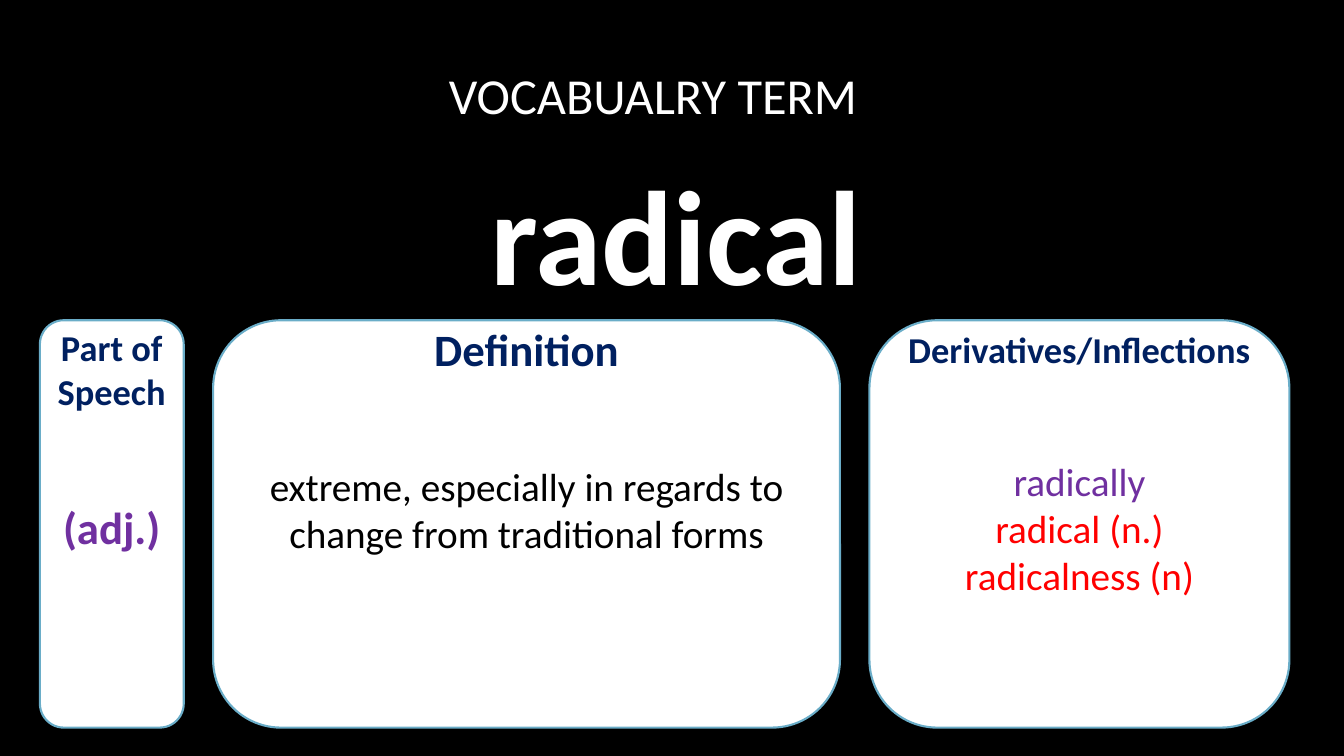
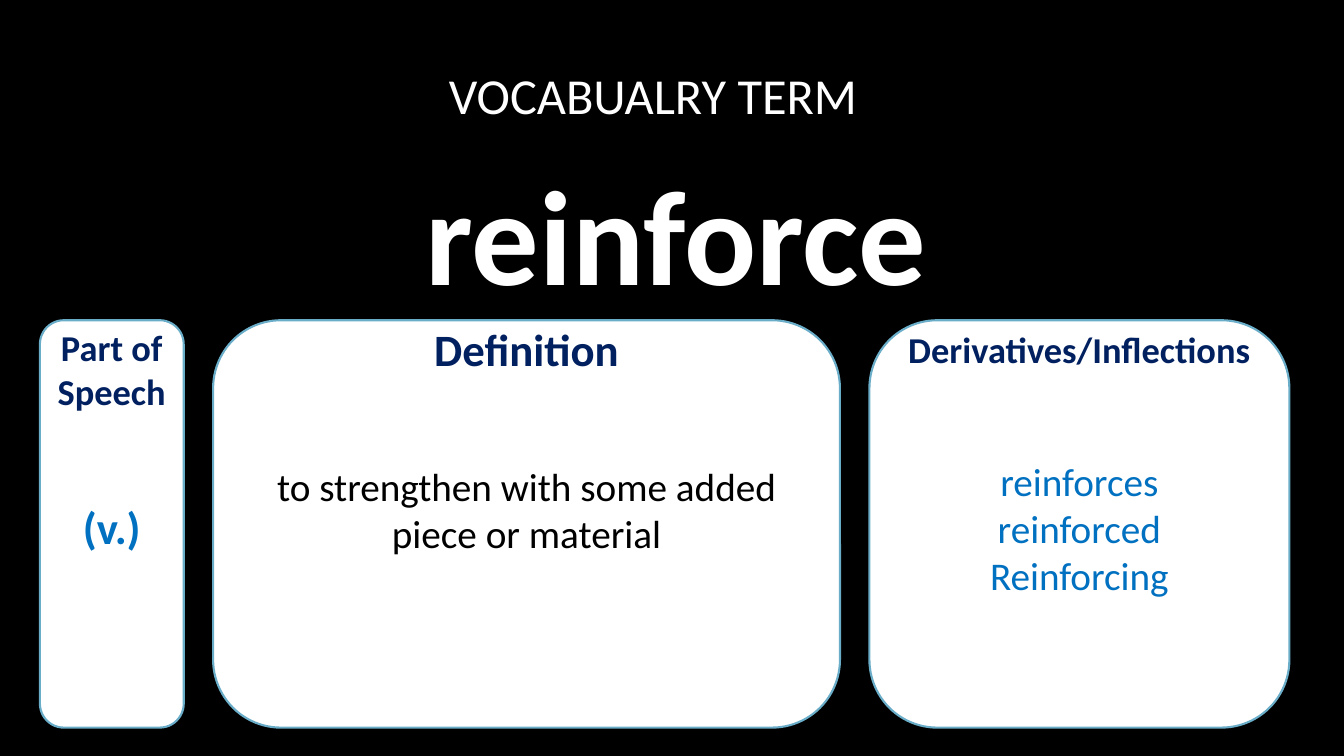
from lxml.etree import SubElement
from pptx import Presentation
from pptx.dml.color import RGBColor
from pptx.enum.shapes import MSO_SHAPE as SHAPE
from pptx.enum.text import MSO_ANCHOR as ANCHOR, MSO_AUTO_SIZE as AUTO, PP_ALIGN as ALIGN
from pptx.oxml.ns import qn
from pptx.util import Pt

PX = 9525
BLACK, WHITE, NAVY, EDGE = "000000", "FFFFFF", "002060", "6AADC8"
PURPLE, RED, BLUE = "7030A0", "FF0000", "0070C0"
CARD_LEFT, CARD_TOP, CARD_HEIGHT, CARD_GAP = 38, 305, 388, 28
# heading, width, heading size, text size, bold text, bottom inset
CARDS = [
    ("Part of Speech", 137, 26, 32, True, 166),
    ("Definition", 597, 32, 28, False, 166),
    ("Derivatives/Inflections", 400, 26, 28, False, 122),
]
# term, then the (text, colour) lines of each card
TERMS = [
    ("radical",
     [("(adj.)", PURPLE)],
     [("extreme, especially in regards to change from traditional forms", BLACK)],
     [("radically", PURPLE), ("radical (n.)", RED), ("radicalness (n)", RED)]),
    ("reinforce",
     [("(v.)", BLUE)],
     [("to strengthen with some added piece or material", BLACK)],
     [("reinforces", BLUE), ("reinforced", BLUE), ("Reinforcing", BLUE)]),
]


def px(n):
    return n * PX


def rgb(color):
    return RGBColor.from_string(color)


def write(p, text, size, color, bold=False, before=0):
    p.alignment = ALIGN.CENTER
    p.space_before, p.space_after = Pt(before), Pt(0)
    r = p.add_run()
    r.text = text
    f = r.font
    f.name, f.size, f.bold = "Calibri", Pt(size), bold
    f.color.rgb = rgb(color)


class Deck:
    """Holds the presentation style and the current slide."""

    def __init__(self):
        self.prs = Presentation()
        self.prs.slide_width, self.prs.slide_height = px(1280), px(720)
        fill = self.prs.slide_master.background.fill
        fill.solid()
        fill.fore_color.rgb = rgb(BLACK)

    def add_slide(self):
        self.s = self.prs.slides.add_slide(self.prs.slide_layouts[1])

    def frame(self, sp, right=7, bottom=5):
        """Set up the text frame of a shape, centred between its insets."""
        tf = sp.text_frame
        tf.word_wrap, tf.auto_size = True, AUTO.NONE
        tf.vertical_anchor = ANCHOR.MIDDLE
        tf.margin_left, tf.margin_top = px(7), px(5)
        tf.margin_right, tf.margin_bottom = px(right), px(bottom)
        return tf

    def placeholder(self, sp, top, height, text, size, bold=False, right=7):
        sp.left, sp.top, sp.width, sp.height = px(112), px(top), px(1064), px(height)
        p = self.frame(sp, right).paragraphs[0]
        write(p, text, size, WHITE, bold)
        return p

    def title(self, text):
        self.placeholder(self.s.shapes.title, 44, 92, text, 36, right=51)

    def term(self, text):
        p = self.placeholder(self.s.placeholders[1], 136, 169, text, 96, bold=True)
        pPr = p._p.get_or_add_pPr()
        pPr.set("marL", "0")
        pPr.set("indent", "0")
        SubElement(pPr, qn("a:buNone"))

    def card(self, left, lines, heading, width, heading_size, size, bold, bottom):
        sp = self.s.shapes.add_shape(SHAPE.ROUNDED_RECTANGLE, px(left), px(CARD_TOP),
                                     px(width), px(CARD_HEIGHT))
        sp.shadow.inherit = False
        sp.fill.solid()
        sp.fill.fore_color.rgb = rgb(WHITE)
        sp.line.color.rgb = rgb(EDGE)
        sp.line.width = Pt(1.5)
        tf = self.frame(sp, bottom=bottom)
        write(tf.paragraphs[0], heading, heading_size, NAVY, True)
        for i, (text, color) in enumerate(lines):
            write(tf.add_paragraph(), text, size, color, bold, before=0 if i else 62)


def main():
    deck = Deck()
    for term, *contents in TERMS:
        deck.add_slide()
        deck.title("VOCABUALRY TERM")
        deck.term(term)
        left = CARD_LEFT
        for card, lines in zip(CARDS, contents):
            deck.card(left, lines, *card)
            left += card[1] + CARD_GAP
    deck.prs.save("out.pptx")


if __name__ == "__main__":
    main()
